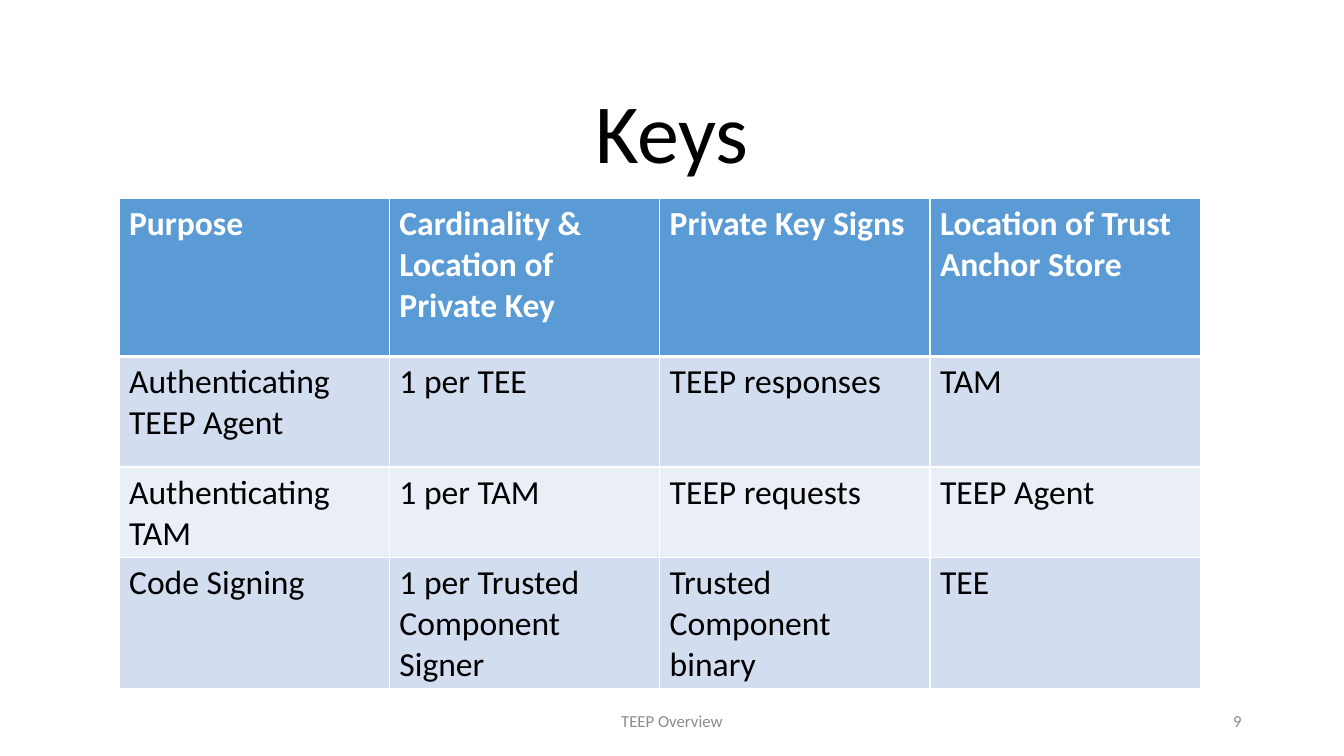
from dataclasses import dataclass

from lxml import etree
from pptx import Presentation
from pptx import util as u
from pptx.dml.color import RGBColor
from pptx.enum import text
from pptx.oxml import ns


@dataclass(frozen=True)
class Theme:
    font: str = "Calibri"
    ink: str = "000000"
    white: str = "FFFFFF"
    muted: str = "8C8C8C"
    header: str = "5B9BD5"
    bands: tuple = ("D2DEEF", "EAEFF7")
    title_size: int = 60
    table_size: int = 24
    footer_size: int = 12
    rule: int = 1
    header_rule: int = 3


THEME = Theme()
ALIGN = text.PP_ALIGN
ANCHOR = text.MSO_ANCHOR

KEYS = [
    ("Purpose", "Cardinality & Location of Private Key",
     "Private Key Signs", "Location of Trust Anchor Store"),
    ("Authenticating TEEP Agent ", "1 per TEE", "TEEP responses", "TAM"),
    ("Authenticating TAM", "1 per TAM", "TEEP requests", "TEEP Agent"),
    ("Code Signing", "1 per Trusted Component Signer",
     "Trusted Component binary", "TEE"),
]
ROW_HEIGHTS = (3.98, 2.79, 1.63, 2.79)


def add_run(paragraph, words, size, color, bold=False):
    run = paragraph.add_run()
    run.text = words
    run.font.name = THEME.font
    run.font.size = u.Pt(size)
    run.font.bold = bold
    run.font.color.rgb = RGBColor.from_string(color)


def add_label(slide, box, words, size, color, align, anchor):
    frame = slide.shapes.add_textbox(*map(u.Cm, box)).text_frame
    frame.word_wrap = True
    frame.vertical_anchor = anchor
    paragraph = frame.paragraphs[0]
    paragraph.alignment = align
    add_run(paragraph, words, size, color)
    return paragraph


def set_borders(cell, bottom):
    """Draw white rules on all four sides; call before the fill is set."""
    properties = cell._tc.get_or_add_tcPr()
    sides = {"L": THEME.rule, "R": THEME.rule, "T": THEME.rule, "B": bottom}
    for side, points in sides.items():
        line = etree.SubElement(properties, ns.qn(f"a:ln{side}"), w=str(u.Pt(points)))
        solid = etree.SubElement(line, ns.qn("a:solidFill"))
        etree.SubElement(solid, ns.qn("a:srgbClr"), val=THEME.white)


def add_title(slide, box):
    title = add_label(slide, box, "Keys", THEME.title_size, THEME.ink,
                      ALIGN.CENTER, ANCHOR.BOTTOM)
    title.line_spacing = 0.9


def add_keys_table(slide, box):
    keys = slide.shapes.add_table(len(KEYS), len(KEYS[0]), *map(u.Cm, box)).table
    for column in keys.columns:
        column.width = u.Cm(box[2] / len(KEYS[0]))
    for row_no, (row, height) in enumerate(zip(KEYS, ROW_HEIGHTS)):
        keys.rows[row_no].height = u.Cm(height)
        is_header = row_no == 0
        fill = THEME.header if is_header else THEME.bands[(row_no - 1) % 2]
        color = THEME.white if is_header else THEME.ink
        # Both sides of the rule below the header share its weight
        for col_no, words in enumerate(row):
            cell = keys.cell(row_no, col_no)
            set_borders(cell, THEME.header_rule if is_header else THEME.rule)
            if row_no == 1:
                top = cell._tc.tcPr.find(ns.qn("a:lnT"))
                top.set("w", str(u.Pt(THEME.header_rule)))
            cell.fill.solid()
            cell.fill.fore_color.rgb = RGBColor.from_string(fill)
            add_run(cell.text_frame.paragraphs[0], words,
                    THEME.table_size, color, is_header)


def add_footer(slide, box):
    left, top, width, height = box
    middle, number = 11.43, 7.62
    style = (THEME.footer_size, THEME.muted)
    # Deck name in the middle, page number at the right edge
    add_label(slide, (left + (width - middle) / 2, top, middle, height),
              "TEEP Overview", *style, ALIGN.CENTER, ANCHOR.MIDDLE)
    add_label(slide, (left + width - number, top, number, height),
              "9", *style, ALIGN.RIGHT, ANCHOR.MIDDLE)


def build_keys_slide(deck):
    slide = deck.slides.add_slide(deck.slide_layouts[6])
    add_footer(slide, (2.33, 17.65, 29.21, 1.02))
    add_keys_table(slide, (3, 5, 27.25, sum(ROW_HEIGHTS)))
    add_title(slide, (2.33, 1.02, 29.21, 3.68))


deck = Presentation()
deck.slide_width, deck.slide_height = u.Cm(33.87), u.Cm(19.05)
build_keys_slide(deck)
deck.save("out.pptx")
